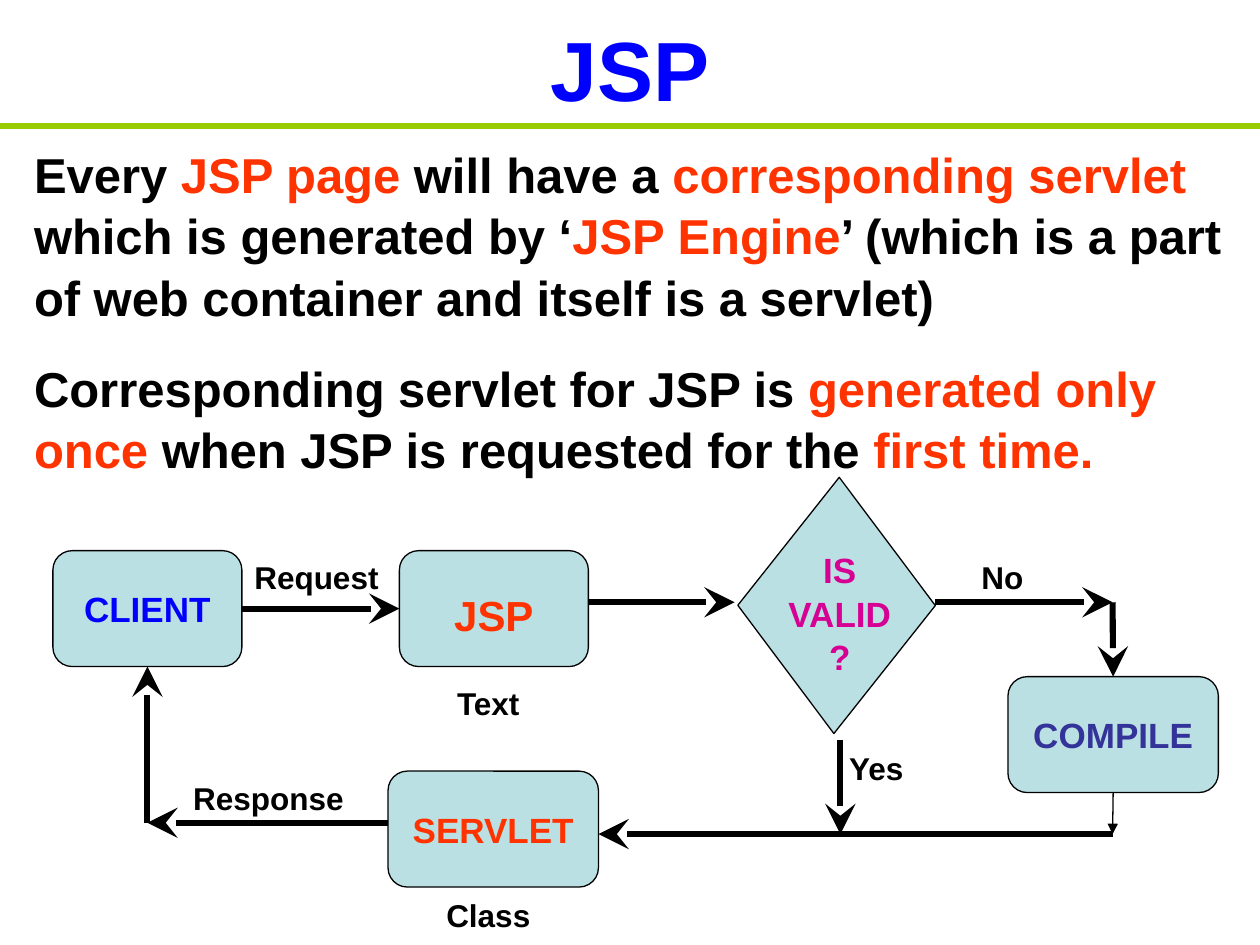
from lxml import etree
from pptx import Presentation
from pptx import util as u
from pptx.dml.color import RGBColor
from pptx.enum import shapes, text
from pptx.oxml import ns

COLORS = {
    "black": "000000", "blue": "0000FF", "red": "FF3300", "navy": "333399",
    "pink": "D60093", "green": "99CC00", "pale": "BBE0E3",
}
CENTER, LEFT = text.PP_ALIGN.CENTER, text.PP_ALIGN.LEFT
TOP_SIDE, BOTTOM_SIDE, RIGHT_SIDE, LEFT_SIDE = 0, 2, 3, 1

BODY = [
    [("Every ", "black"), ("JSP page", "red"), (" will have a ", "black"),
     ("corresponding servlet", "red"), (" which is generated by ‘", "black"),
     ("JSP Engine", "red"),
     ("’ (which is a part of web container and itself is a servlet)", "black")],
    [("Corresponding servlet for JSP is ", "black"), ("generated only once", "red"),
     (" when JSP is requested for the ", "black"), ("first time.", "red")],
]
# name, left, top, width, font size, colour, top inset
STEPS = [
    ("CLIENT", 0.42, 4.37, 1.5, 20, "blue", 0.05),
    ("JSP", 3.17, 4.37, 1.5, 24, "red", 0.15),
    ("SERVLET", 3.08, 6.12, 1.67, 20, "red", 0.05),
    ("COMPILE", 8, 5.37, 1.67, 20, "navy", 0.05),
]
# wording, left, top, width, alignment
LABELS = [
    ("Request", 1.92, 4.37, 1.25, LEFT),
    ("Text", 3.25, 5.37, 1.25, CENTER),
    ("Class", 3.25, 7.05, 1.25, CENTER),
    ("Response", 1.42, 6.12, 1.42, CENTER),
    ("No", 7.33, 4.37, 1.25, CENTER),
    ("Yes", 6.33, 5.88, 1.25, CENTER),
]


def rgb(name):
    return RGBColor.from_string(COLORS[name])


def set_all(target, **values):
    for name, value in values.items():
        setattr(target, name, value)


def place(shape, left, top, width, height):
    set_all(shape, left=u.Inches(left), top=u.Inches(top),
            width=u.Inches(width), height=u.Inches(height))


def add_span(para, wording, size, color):
    span = para.add_run()
    span.text = wording
    set_all(span.font, name="Arial", size=u.Pt(size), bold=True)
    span.font.color.rgb = rgb(color)


def fill_title(box):
    place(box, 0.5, 0, 9, 1.08)
    box.text_frame.vertical_anchor = text.MSO_ANCHOR.MIDDLE
    para = box.text_frame.paragraphs[0]
    para.alignment = CENTER
    add_span(para, "JSP", 48, "blue")


def fill_body(box):
    place(box, 0.17, 1.08, 9.83, 2.68)
    frame = box.text_frame
    set_all(frame, auto_size=text.MSO_AUTO_SIZE.SHAPE_TO_FIT_TEXT, word_wrap=True)
    for index, spans in enumerate(BODY):
        para = frame.add_paragraph() if index else frame.paragraphs[0]
        set_all(para, alignment=LEFT, space_before=u.Pt(17.5), line_spacing=1.04)
        properties = para._p.get_or_add_pPr()
        properties.set("marL", "0")
        properties.set("indent", "0")
        etree.SubElement(properties, ns.qn("a:buNone"))
        for wording, color in spans:
            add_span(para, wording, 28, color)


def add_block(page, kind, left, top, width, height):
    block = page.shapes.add_shape(kind, *map(u.Inches, (left, top, width, height)))
    block.shadow.inherit = False
    block.fill.solid()
    block.fill.fore_color.rgb = rgb("pale")
    block.line.color.rgb = rgb("black")
    block.line.width = u.Pt(0.75)
    return block


def add_step(page, name, left, top, width, size, color, inset):
    block = add_block(page, shapes.MSO_SHAPE.FLOWCHART_ALTERNATE_PROCESS,
                      left, top, width, 0.92)
    set_all(block.text_frame, margin_top=u.Inches(inset), word_wrap=True,
            vertical_anchor=text.MSO_ANCHOR.MIDDLE)
    para = block.text_frame.paragraphs[0]
    para.alignment = CENTER
    add_span(para, name, size, color)
    return block


def add_label(page, wording, left, top, width, align, height=0.4, size=18,
              color="black"):
    box = page.shapes.add_textbox(*map(u.Inches, (left, top, width, height)))
    set_all(box.text_frame, word_wrap=True,
            auto_size=text.MSO_AUTO_SIZE.SHAPE_TO_FIT_TEXT)
    para = box.text_frame.paragraphs[0]
    set_all(para, alignment=align, space_before=u.Pt(size * 0.625), line_spacing=1.04)
    add_span(para, wording, size, color)


def add_line(page, start, end, color="black", width=3.5, head="stealth",
             head_size="lg", begin=None, finish=None):
    """Draw a line; begin and finish are (block, side) pairs to join."""
    line = page.shapes.add_connector(shapes.MSO_CONNECTOR.STRAIGHT,
                                     *map(u.Inches, (*start, *end)))
    if begin:
        line.begin_connect(*begin)
    if finish:
        line.end_connect(*finish)
    line.line.color.rgb = rgb(color)
    line.line.width = u.Pt(width)
    if head:
        etree.SubElement(line.line._get_or_add_ln(), ns.qn("a:tailEnd"),
                         type=head, w=head_size, len=head_size)
    etree.SubElement(line._element.spPr, ns.qn("a:effectLst"))


def add_flow(page):
    client, jsp, servlet, compiler = [add_step(page, *step) for step in STEPS]
    decision = add_block(page, shapes.MSO_SHAPE.FLOWCHART_DATA, 5.83, 4.19, 1.62, 1.23)
    decision.rotation = 308.4
    add_label(page, "IS VALID ?", 6.08, 4.29, 1.17, CENTER, 1.1, 20, "pink")

    add_line(page, (1.92, 4.83), (3.17, 4.83),
             begin=(client, RIGHT_SIDE), finish=(jsp, LEFT_SIDE))
    add_line(page, (4.67, 4.78), (5.83, 4.78))
    add_line(page, (7.42, 4.78), (8.83, 4.78))
    add_line(page, (8.83, 4.78), (8.83, 5.37), finish=(compiler, TOP_SIDE))
    add_line(page, (3.08, 6.53), (1.17, 6.53))
    add_line(page, (1.17, 6.53), (1.17, 5.29), finish=(client, BOTTOM_SIDE))
    add_line(page, (8.83, 6.29), (8.83, 6.62), width=0.75, head="triangle",
             head_size="med", begin=(compiler, BOTTOM_SIDE))
    add_line(page, (8.83, 6.62), (4.75, 6.62))
    add_line(page, (6.67, 5.87), (6.67, 6.62))
    for label in LABELS:
        add_label(page, *label)


def main():
    deck = Presentation()
    set_all(deck, slide_width=u.Inches(10), slide_height=u.Inches(7.5))
    page = deck.slides.add_slide(deck.slide_layouts[1])
    fill_title(page.shapes.title)
    fill_body(page.placeholders[1])
    add_line(page, (0, 1), (10, 1), color="green", width=3, head=None)
    add_flow(page)
    deck.save("out.pptx")


if __name__ == "__main__":
    main()
